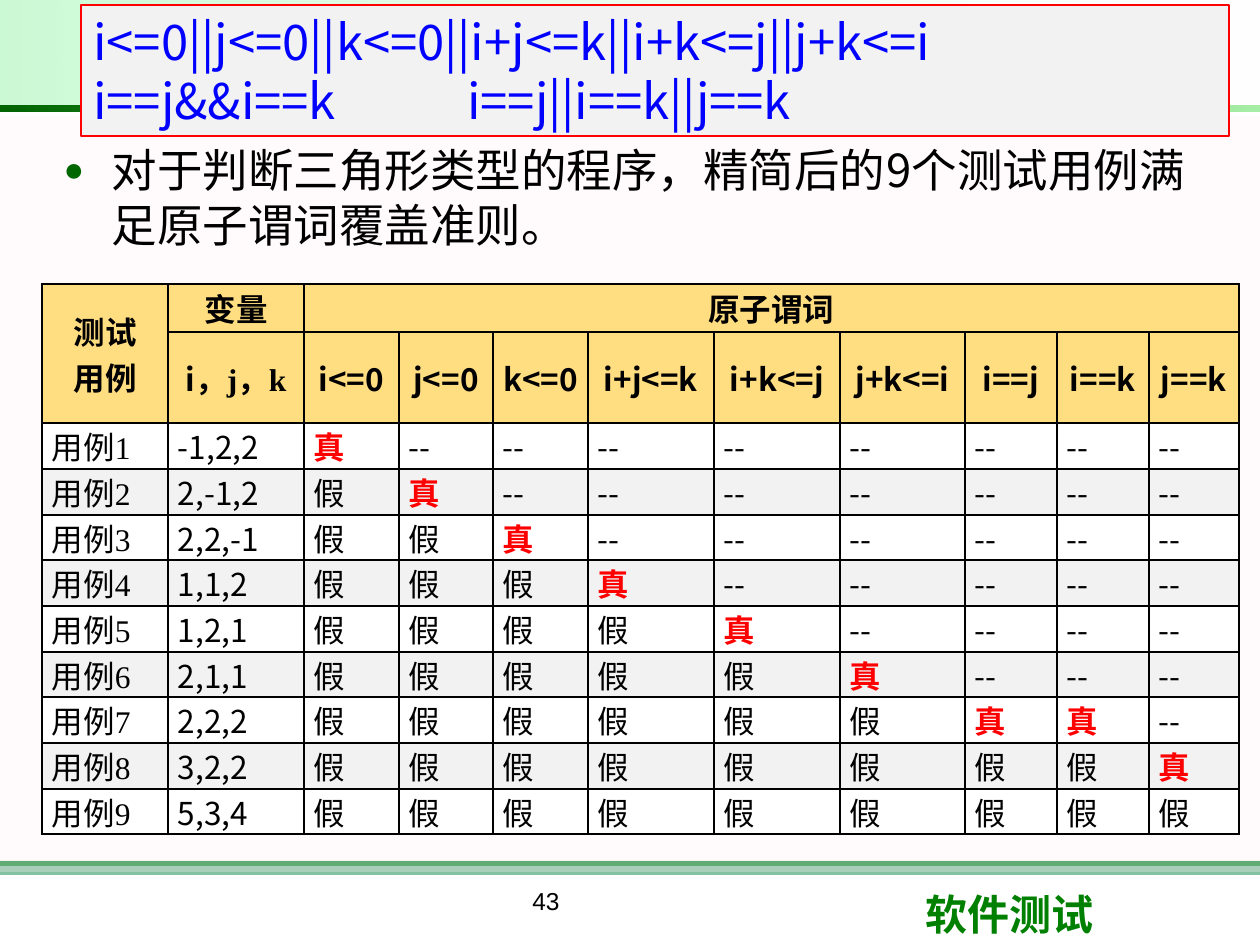
"""Build the slide on atomic predicate coverage for the triangle program."""
from lxml.etree import SubElement
from pptx import Presentation
from pptx.dml.color import RGBColor
from pptx.enum.shapes import MSO_SHAPE as SHAPE
from pptx.enum.text import MSO_ANCHOR as ANCHOR, PP_ALIGN as ALIGN
from pptx.oxml.ns import qn
from pptx.util import Pt

THEME = {
    "sans": "Noto Sans CJK SC", "serif": "Times New Roman", "ui": "Arial",
    "black": "000000", "blue": "0000FF", "red": "FF0000", "green": "008000",
    "bullet": "006600", "panel": "F2F2F2", "white": "FFFFFF",
    "header": "FFC000", "pink": "FFF0F5", "rule": "339966",
    "fade": "FFFFFF", "mint": "09E733", "lime": "00CC00", "forest": "006400",
    "code_size": 28, "body_size": 26, "table_size": 18,
    "footer_size": 24, "number_size": 14,
}

CODE = ["i<=0||j<=0||k<=0||i+j<=k||i+k<=j||j+k<=i",
        "i==j&&i==k\ti==j||i==k||j==k"]
BODY = "对于判断三角形类型的程序，精简后的9个测试用例满足原子谓词覆盖准则。"
FOOTER, NUMBER = "软件测试", "43"
PREDICATES = ["i<=0", "j<=0", "k<=0", "i+j<=k", "i+k<=j", "j+k<=i",
              "i==j", "i==k", "j==k"]
CASES = [
    ("-1,2,2", "真"),
    ("2,-1,2", "假真"),
    ("2,2,-1", "假假真"),
    ("1,1,2", "假假假真"),
    ("1,2,1", "假假假假真"),
    ("2,1,1", "假假假假假真"),
    ("2,2,2", "假假假假假假真真"),
    ("3,2,2", "假假假假假假假假真"),
    ("5,3,4", "假假假假假假假假假"),
]
COLUMNS = [126, 136, 95, 94, 95, 126, 126, 125, 92, 92, 90]
ROWS = [48, 91] + [46, 46, 45] * 3
BANDS = [
    ((0, 861, 1260, 5), "green", 100),
    ((0, 861, 1260, 14), "rule", 60),
    ((0, 116, 1260, 756), "pink", 30),
]
GRADIENTS = [
    ((0, 0, 1259, 105), [("fade", 10), ("mint", 21)]),
    ((0, 105, 1260, 6), [("lime", 35), ("forest", 100)]),
]


def px(n):
    return round(n * 914400 / 126)


def box(at):
    return [px(n) for n in at]


def rgb(name):
    return RGBColor.from_string(THEME[name])


def add(parent, tag, **attrs):
    return SubElement(parent, qn(tag), {k: str(v) for k, v in attrs.items()})


def set_alpha(el, percent):
    if percent < 100:
        add(next(el.iter(qn("a:srgbClr"))), "a:alpha", val=percent * 1000)


def add_rect(shapes, at):
    sp = shapes.add_shape(SHAPE.RECTANGLE, *box(at))
    sp.shadow.inherit = False
    sp.line.fill.background()
    return sp


def paint(sp, color):
    sp.fill.solid()
    sp.fill.fore_color.rgb = rgb(color)


def add_run(p, text, size, font="sans", color="black", bold=False):
    r = p.add_run()
    r.text = text
    for key, value in {"size": Pt(THEME[size]), "name": THEME[font],
                       "bold": bold, "italic": False}.items():
        setattr(r.font, key, value)
    r.font.color.rgb = rgb(color)
    add(r.font._element, "a:ea", typeface=THEME["sans"])


def add_text(shapes, at, text, **style):
    tf = shapes.add_textbox(*box(at)).text_frame
    tf.word_wrap = True
    p = tf.paragraphs[0]
    add_run(p, text, **style)
    return p


def add_background(shapes):
    for at, color, alpha in BANDS:
        sp = add_rect(shapes, at)
        paint(sp, color)
        set_alpha(sp._element.spPr, alpha)
    for at, ends in GRADIENTS:
        sp = add_rect(shapes, at)
        sp.rotation = 180
        sp.fill.gradient()
        sp.fill.gradient_angle = 0
        stops = sp._element.spPr.find(qn("a:gradFill")).find(qn("a:gsLst"))
        for old in list(stops):
            stops.remove(old)
        for pos, (color, alpha) in zip((0, 100000), ends):
            stop = add(stops, "a:gs", pos=pos)
            add(stop, "a:srgbClr", val=THEME[color])
            set_alpha(stop, alpha)


def fill_body(sp):
    sp.left, sp.top, sp.width, sp.height = box((49, 136, 1180, 703))
    p = sp.text_frame.paragraphs[0]
    ppr = p._p.get_or_add_pPr()
    ppr.set("marL", str(px(50)))
    ppr.set("indent", str(px(-48)))
    add(add(ppr, "a:buClr"), "a:srgbClr", val=THEME["bullet"])
    add(ppr, "a:buSzPct", val=75000)
    add(ppr, "a:buFont", typeface=THEME["ui"])
    add(ppr, "a:buChar", char="●")
    p.space_before, p.space_after = Pt(0), Pt(6)
    add_run(p, BODY, "body_size")


def format_cell(cell, color, alpha=100, inset=10):
    tcpr = cell._tc.get_or_add_tcPr()
    for side in ("a:lnL", "a:lnR", "a:lnT", "a:lnB"):
        ln = add(tcpr, side, w=Pt(1))
        add(add(ln, "a:solidFill"), "a:srgbClr", val=THEME["black"])
    paint(cell, color)
    set_alpha(tcpr.find(qn("a:solidFill")), alpha)
    for key, value in {"margin_left": px(inset), "margin_right": px(inset),
                       "margin_top": 0, "margin_bottom": 0}.items():
        setattr(cell, key, value)


def write_header(cell, *lines):
    cell.vertical_anchor = ANCHOR.MIDDLE
    tf = cell.text_frame
    for n, runs in enumerate(lines):
        p = tf.add_paragraph() if n else tf.paragraphs[0]
        p.alignment = ALIGN.CENTER
        for text, font in runs:
            add_run(p, text, "table_size", font, bold=True)


def add_case_table(shapes):
    at = (42, 284, sum(COLUMNS), sum(ROWS))
    table = shapes.add_table(len(ROWS), len(COLUMNS), *box(at)).table
    table.first_row = table.horz_banding = False
    for col, width in zip(table.columns, COLUMNS):
        col.width = px(width)
    for row, height in zip(table.rows, ROWS):
        row.height = px(height)
    cell = table.cell
    cell(0, 0).merge(cell(1, 0))
    cell(0, 2).merge(cell(0, len(COLUMNS) - 1))
    for r in range(2):
        for c in range(len(COLUMNS)):
            format_cell(cell(r, c), "header", 48, 0 if r and c else 10)
    write_header(cell(0, 0), [("测试", "serif")], [("用例", "serif")])
    write_header(cell(0, 1), [("变量", "serif")])
    write_header(cell(0, 2), [("原子谓词", "serif")])
    write_header(cell(1, 1), [("i", "sans"), ("，j，k", "serif")])
    for c, predicate in enumerate(PREDICATES, 2):
        write_header(cell(1, c), [(predicate, "sans")])
    for n, (values, verdicts) in enumerate(CASES, 1):
        skipped = ["--"] * (len(PREDICATES) - len(verdicts))
        for c, text in enumerate([f"用例{n}", values, *verdicts, *skipped]):
            format_cell(cell(n + 1, c), "white" if n % 2 else "panel")
            p = cell(n + 1, c).text_frame.paragraphs[0]
            p.alignment = ALIGN.JUSTIFY
            hit = text == "真"
            font = "sans" if c == 1 or text == "--" else "serif"
            add_run(p, text, "table_size", font, "red" if hit else "black", hit)


def add_code(shapes):
    sp = add_rect(shapes, (81, 5, 1148, 131))
    paint(sp, "panel")
    sp.line.color.rgb, sp.line.width = rgb("red"), Pt(0.75)
    tf = sp.text_frame
    tf.word_wrap = True
    for n, line in enumerate(CODE):
        p = tf.add_paragraph() if n else tf.paragraphs[0]
        tabs = add(p._p.get_or_add_pPr(), "a:tabLst")
        add(tabs, "a:tab", pos=px(374), algn="l")
        p.alignment = ALIGN.LEFT
        add_run(p, line, "code_size", color="blue")


def main():
    prs = Presentation()
    prs.slide_width, prs.slide_height = px(1260), px(945)
    s = prs.slides.add_slide(prs.slide_layouts[1])
    title, body = s.placeholders
    title._element.getparent().remove(title._element)
    add_background(s.shapes)
    add_text(s.shapes, (913, 882, 299, 63), FOOTER, size="footer_size",
             font="ui", color="green", bold=True)
    s.shapes._spTree.append(body._element)
    fill_body(body)
    number = add_text(s.shapes, (346, 880, 400, 65), NUMBER,
                      size="number_size", font="ui")
    number.alignment = ALIGN.CENTER
    add_case_table(s.shapes)
    add_code(s.shapes)
    prs.save("out.pptx")


if __name__ == "__main__":
    main()
